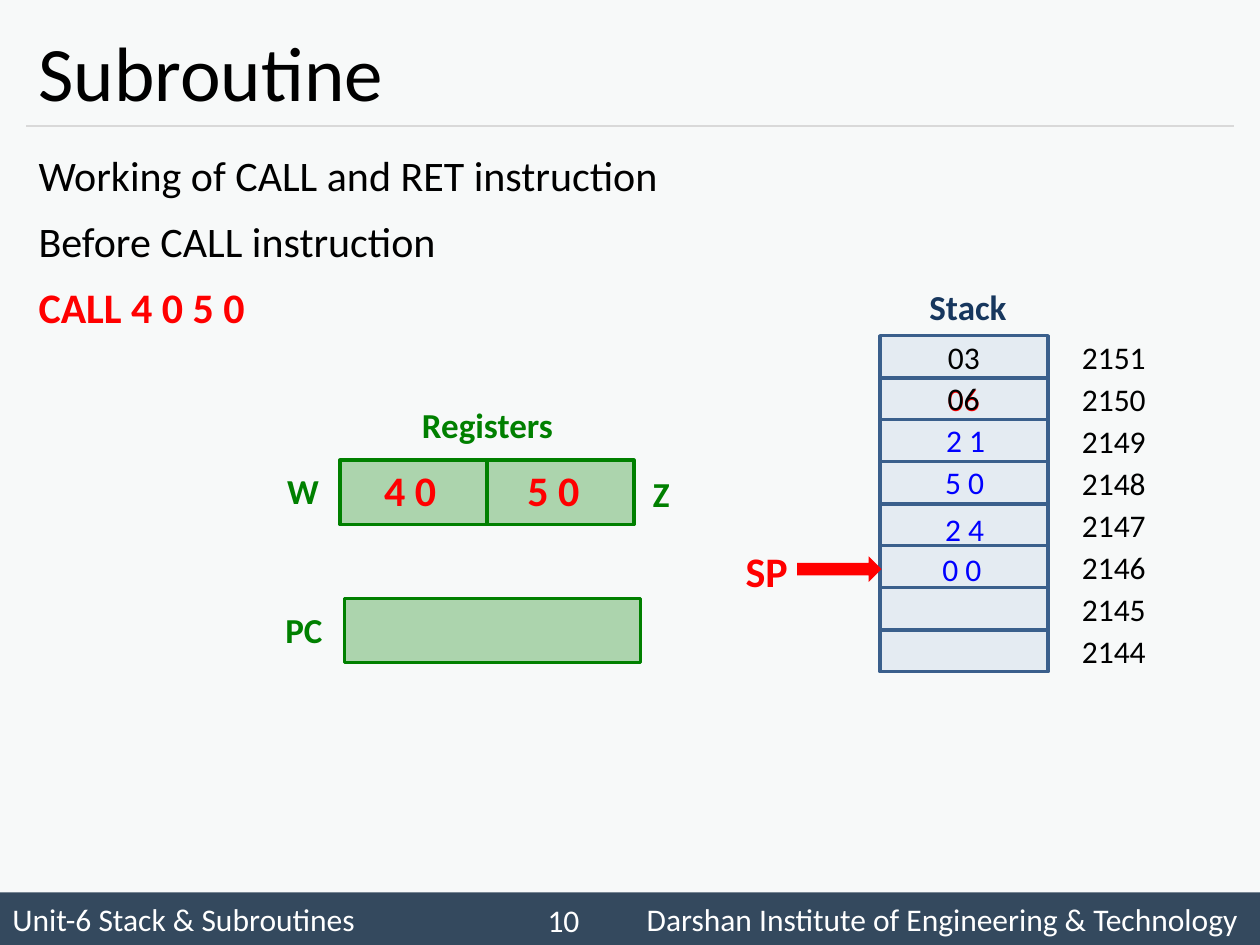
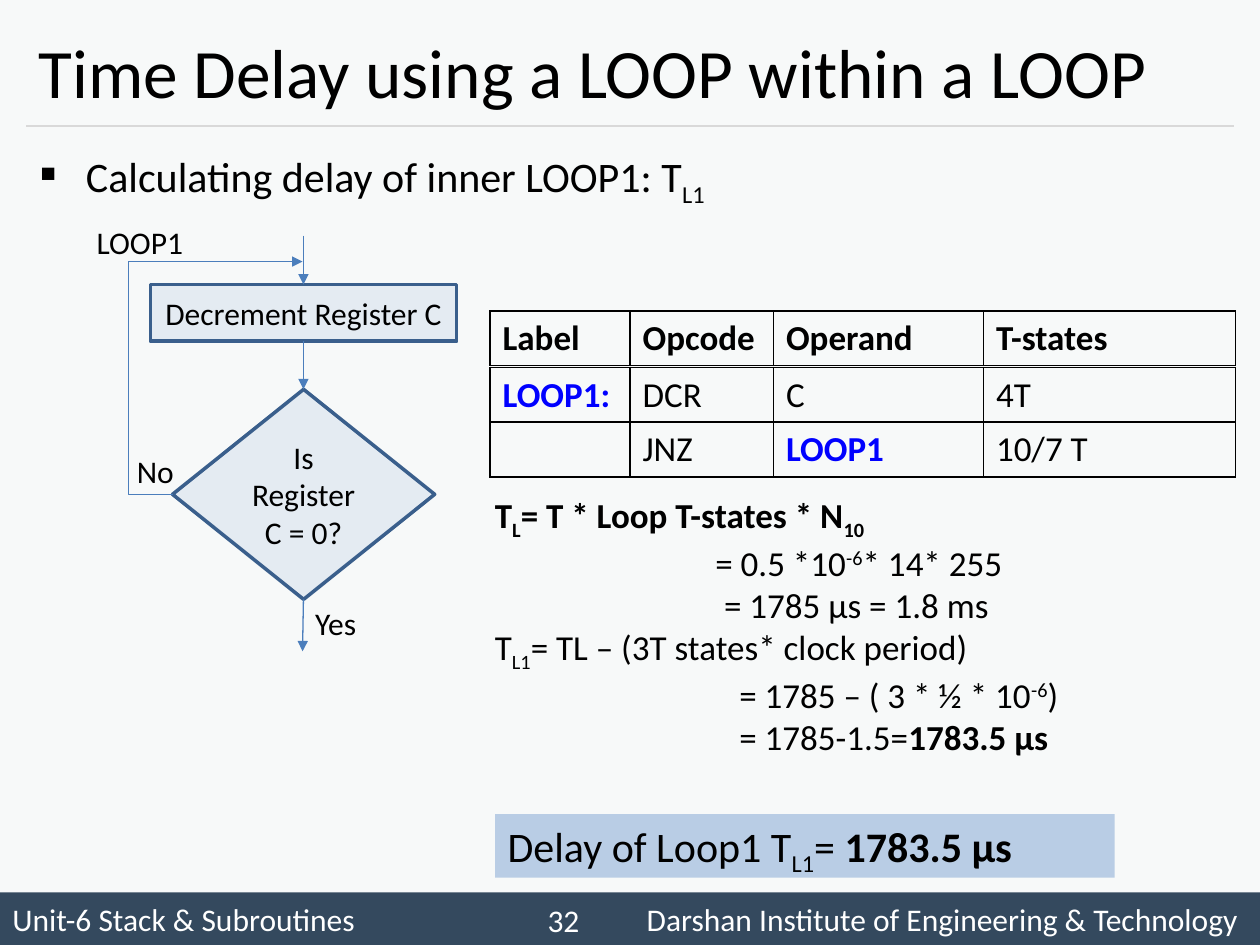
from lxml.etree import SubElement
from pptx import Presentation
from pptx.dml.color import RGBColor
from pptx.enum.shapes import MSO_CONNECTOR, MSO_SHAPE
from pptx.enum.text import MSO_ANCHOR, PP_ALIGN
from pptx.oxml.ns import qn
from pptx.util import Pt

LEFT, CENTER, RIGHT = PP_ALIGN.LEFT, PP_ALIGN.CENTER, PP_ALIGN.RIGHT
TOP, MIDDLE = MSO_ANCHOR.TOP, MSO_ANCHOR.MIDDLE
RECTANGLE, RIGHT_ARROW = MSO_SHAPE.RECTANGLE, MSO_SHAPE.RIGHT_ARROW
PROCESS, DECISION = MSO_SHAPE.FLOWCHART_PROCESS, MSO_SHAPE.FLOWCHART_DECISION
STRAIGHT, ELBOW = MSO_CONNECTOR.STRAIGHT, MSO_CONNECTOR.ELBOW

FONT = "Calibri"
BLACK = RGBColor(0x00, 0x00, 0x00)
WHITE = RGBColor(0xFF, 0xFF, 0xFF)
PAPER = RGBColor(0xF7, 0xF9, 0xF9)
SLATE = RGBColor(0x34, 0x49, 0x5E)
RULE_GRAY = RGBColor(0xD9, 0xD9, 0xD9)
RED = RGBColor(0xFF, 0x00, 0x00)
BLUE = RGBColor(0x00, 0x00, 0xFF)
GREEN = RGBColor(0x00, 0x80, 0x00)
NAVY = RGBColor(0x17, 0x37, 0x5E)
SOFT_BLUE = RGBColor(0x4F, 0x81, 0xBD)
EDGE_BLUE = RGBColor(0x3A, 0x5F, 0x8C)
ARROW_BLUE = RGBColor(0x4B, 0x7E, 0xBC)
RESULT_BLUE = RGBColor(0xB9, 0xCD, 0xE5)

SUB, SUPER = -25000, 30000


def write(target, lines, size, color=BLACK, bold=False, align=LEFT, anchor=TOP):
    """Fill a shape or cell; a line is a string or a list of (text, baseline, bold)."""
    frame = target.text_frame
    frame.word_wrap = True
    frame.vertical_anchor = anchor
    for index, line in enumerate(lines):
        para = frame.add_paragraph() if index else frame.paragraphs[0]
        para.alignment = align
        para.font.name = FONT
        para.font.size = Pt(size)
        para.font.color.rgb = color
        spans = [(line, 0, bold)] if isinstance(line, str) else line
        if len({span[2] for span in spans}) == 1:
            para.font.bold = spans[0][2]
        for text, baseline, span_bold in spans:
            span = para.add_run()
            span.text = text
            if span_bold != para.font.bold:
                span.font.bold = span_bold
            if baseline:
                span._r.get_or_add_rPr().set("baseline", str(baseline))
    return frame


def draw(page, kind, area, fill, edge=None, opacity=100):
    shape = page.shapes.add_shape(kind, *map(Pt, area))
    shape.shadow.inherit = False
    shape.fill.solid()
    shape.fill.fore_color.rgb = fill
    if opacity < 100:
        color = shape._element.spPr.find(qn("a:solidFill"))[0]
        SubElement(color, qn("a:alpha")).set("val", str(opacity * 1000))
    if edge is None:
        shape.line.fill.background()
    else:
        shape.line.color.rgb = edge
        shape.line.width = Pt(2)
    return shape


deck = Presentation()
deck.slide_width, deck.slide_height = Pt(720), Pt(540)

# Shared title, rule and footer
pages = []
for title, title_size, number in [
    ("Subroutine", 44, "10"),
    ("Time Delay using a LOOP within a LOOP", 39.6, "32"),
]:
    page = deck.slides.add_slide(deck.slide_layouts[6])
    page.background.fill.solid()
    page.background.fill.fore_color.rgb = PAPER
    footer = draw(page, RECTANGLE, (0, 510, 720, 30), SLATE)
    write(footer, ["Unit-6 Stack & Subroutines"], 18, WHITE, anchor=MIDDLE)
    for area, text, align in [
        ((350, 510, 364.5, 30), "Darshan Institute of Engineering & Technology", RIGHT),
        ((298, 511, 48, 29), number, CENTER),
    ]:
        box = page.shapes.add_textbox(*map(Pt, area))
        write(box, [text], 18, WHITE, align=align, anchor=MIDDLE)
    rule = page.shapes.add_connector(STRAIGHT, Pt(15), Pt(72), Pt(705), Pt(72))
    rule.line.color.rgb = RULE_GRAY
    rule.line.width = Pt(0.75)
    SubElement(rule._element.spPr, qn("a:effectLst"))
    heading = page.shapes.add_textbox(Pt(15), Pt(8.5), Pt(690), Pt(63.5))
    write(heading, [title], title_size, anchor=MIDDLE)
    pages.append(page)
call_page, delay_page = pages

# Slide 1: CALL and RET
body = call_page.shapes.add_textbox(Pt(15), Pt(78), Pt(690), Pt(420))
frame = write(body, ["Working of CALL and RET instruction", "Before CALL instruction",
                     "CALL 4 0 5 0"], 24)
for index, para in enumerate(frame.paragraphs):
    para.line_spacing = 1.14
    if index:
        para.space_before = Pt(4.8)
para.font.color.rgb = RED
para.font.bold = True

STACK_LEFT, STACK_TOP, CELL_WIDTH, CELL_HEIGHT = 502.8, 191.85, 96, 24
stack_values = ["03", "06"]
for row in range(8):
    top = STACK_TOP + row * CELL_HEIGHT
    cell = draw(call_page, RECTANGLE, (STACK_LEFT, top, CELL_WIDTH, CELL_HEIGHT),
                SOFT_BLUE, EDGE_BLUE, 11)
    if row < len(stack_values):
        write(cell, [stack_values[row]], 18, RED if row else BLACK, align=CENTER, anchor=MIDDLE)
    address = call_page.shapes.add_textbox(Pt(599), Pt(top), Pt(75), Pt(CELL_HEIGHT))
    write(address, [str(2151 - row)], 18, align=CENTER, anchor=MIDDLE)

for area in [(194.2, 263, 84, 36.7), (278.2, 263, 84, 36.7), (196.8, 342, 169.2, 36.7)]:
    draw(call_page, RECTANGLE, area, GREEN, GREEN, 30)
draw(call_page, RIGHT_ARROW, (455.5, 318, 48.2, 14.5), RED)

for text, area, size, color, bold in [
    ("Registers", (234, 227, 120, 31.5), 20, GREEN, True),
    ("W", (157, 265, 33, 31.5), 20, GREEN, True),
    ("Z", (366, 266.5, 24.5, 31.5), 20, GREEN, True),
    ("PC", (156, 344, 36, 31.5), 20, GREEN, True),
    ("Stack", (524, 159.3, 59, 31.5), 20, NAVY, True),
    ("4 0", (212.4, 262, 44.6, 36), 24, RED, True),
    ("5 0", (294.3, 262, 44.6, 36), 24, RED, True),
    ("SP", (419, 308.3, 39, 36), 24, RED, True),
    ("06", (534.5, 213.2, 33, 29), 18, BLACK, False),
    ("2 1", (533.5, 236.8, 37.4, 29), 18, BLUE, False),
    ("5 0", (533, 261.2, 37.4, 29), 18, BLUE, False),
    ("2 4", (533, 288, 37.4, 29), 18, BLUE, False),
    ("0 0", (531.4, 311, 41, 29), 18, BLUE, False),
]:
    label = call_page.shapes.add_textbox(*map(Pt, area))
    write(label, [text], size, color, bold)

# Slide 2: delay of the inner loop
body = delay_page.shapes.add_textbox(Pt(15), Pt(78), Pt(690), Pt(45))
properties = body.text_frame.paragraphs[0]._p.get_or_add_pPr()
properties.set("marL", str(Pt(27)))
properties.set("indent", str(Pt(-27)))
SubElement(properties, qn("a:buFont")).set("typeface", "Wingdings")
SubElement(properties, qn("a:buChar")).set("char", "§")
frame = write(body, [[("Calculating delay of inner LOOP1: T", 0, False),
                      ("L1", SUB, False)]], 24)
frame.paragraphs[0].line_spacing = 1.14

for kind, area, lines in [
    (DECISION, (98.6, 222.5, 149.8, 120), ["Is Register", "C = 0?"]),
    (PROCESS, (86, 162.6, 175, 32.4), ["Decrement Register C"]),
]:
    step = draw(delay_page, kind, area, SOFT_BLUE, EDGE_BLUE, 11)
    write(step, lines, 18, align=CENTER, anchor=MIDDLE)

for kind, points in [
    (STRAIGHT, (173.4, 134.6, 173.4, 162.6)),
    (STRAIGHT, (173.4, 195, 173.4, 222.5)),
    (STRAIGHT, (173.4, 342.5, 172.9, 372.2)),
    (ELBOW, (98.6, 282.5, 172.9, 149.5)),
]:
    arrow = delay_page.shapes.add_connector(kind, *map(Pt, points))
    arrow.line.color.rgb = ARROW_BLUE
    arrow.line.width = Pt(0.75)
    outline = arrow._element.spPr
    SubElement(outline.find(qn("a:ln")), qn("a:tailEnd")).set("type", "triangle")
    SubElement(outline, qn("a:effectLst"))
    if kind == ELBOW:
        bend = SubElement(outline.find(qn("a:prstGeom")).find(qn("a:avLst")), qn("a:gd"))
        bend.set("name", "adj1")
        bend.set("fmla", "val -34000")

for text, area in [
    ("No", (71.1, 255, 36.7, 29)),
    ("Yes", (173, 341.8, 39.6, 29)),
    ("LOOP1", (48.1, 124, 65, 29)),
]:
    write(delay_page.shapes.add_textbox(*map(Pt, area)), [text], 18)

# One single-row table for each instruction
for top, texts in [
    (177.7, ["Label", "Opcode", "Operand", "T-states"]),
    (210, ["LOOP1:", "DCR", "C", "4T"]),
    (241.2, ["", "JNZ", "LOOP1", "10/7 T"]),
]:
    table = delay_page.shapes.add_table(1, 4, Pt(280), Pt(top), Pt(426), Pt(31.2)).table
    table.first_row = table.horz_banding = False
    for column, width in zip(table.columns, [80, 82, 120, 144]):
        column.width = Pt(width)
    for cell, text in zip(table.rows[0].cells, texts):
        for side in ["lnL", "lnR", "lnT", "lnB"]:
            border = SubElement(cell._tc.get_or_add_tcPr(), qn("a:" + side))
            border.set("w", str(Pt(1)))
            fill = SubElement(border, qn("a:solidFill"))
            SubElement(fill, qn("a:srgbClr")).set("val", str(BLACK))
        cell.fill.background()
        is_loop = text.startswith("LOOP1")
        write(cell, [text], 20, BLUE if is_loop else BLACK, is_loop or texts[0] == "Label")

equations = [
    (0, [("T", 0, True), ("L", SUB, True), ("= T * Loop T-states * N", 0, True),
         ("10", SUB, True)]),
    (126, [("= 0.5 *10", 0, False), ("-6", SUPER, False), ("* 14* 255", 0, False)]),
    (131, "= 1785 μs = 1.8 ms"),
    (0, [("T", 0, False), ("L1", SUB, False), ("= TL – (3T states* clock period)", 0, False)]),
    (139.7, [("= 1785 – ( 3 * ½ * 10", 0, False), ("-6", SUPER, False), (")", 0, False)]),
    (139.7, [("= 1785-1.5=", 0, False), ("1783.5 μs", 0, True)]),
]
box = delay_page.shapes.add_textbox(Pt(275.7), Pt(278.6), Pt(429), Pt(174))
frame = write(box, [line for indent, line in equations], 20)
for para, (indent, line) in zip(frame.paragraphs, equations):
    para._p.get_or_add_pPr().set("marL", str(Pt(indent)))

result = draw(delay_page, RECTANGLE, (283, 465.2, 354, 36.4), RESULT_BLUE)
write(result, [[("Delay of Loop1 T", 0, False), ("L1", SUB, False), ("= ", 0, False),
                ("1783.5 μs", 0, True)]], 24)

deck.save("out.pptx")
